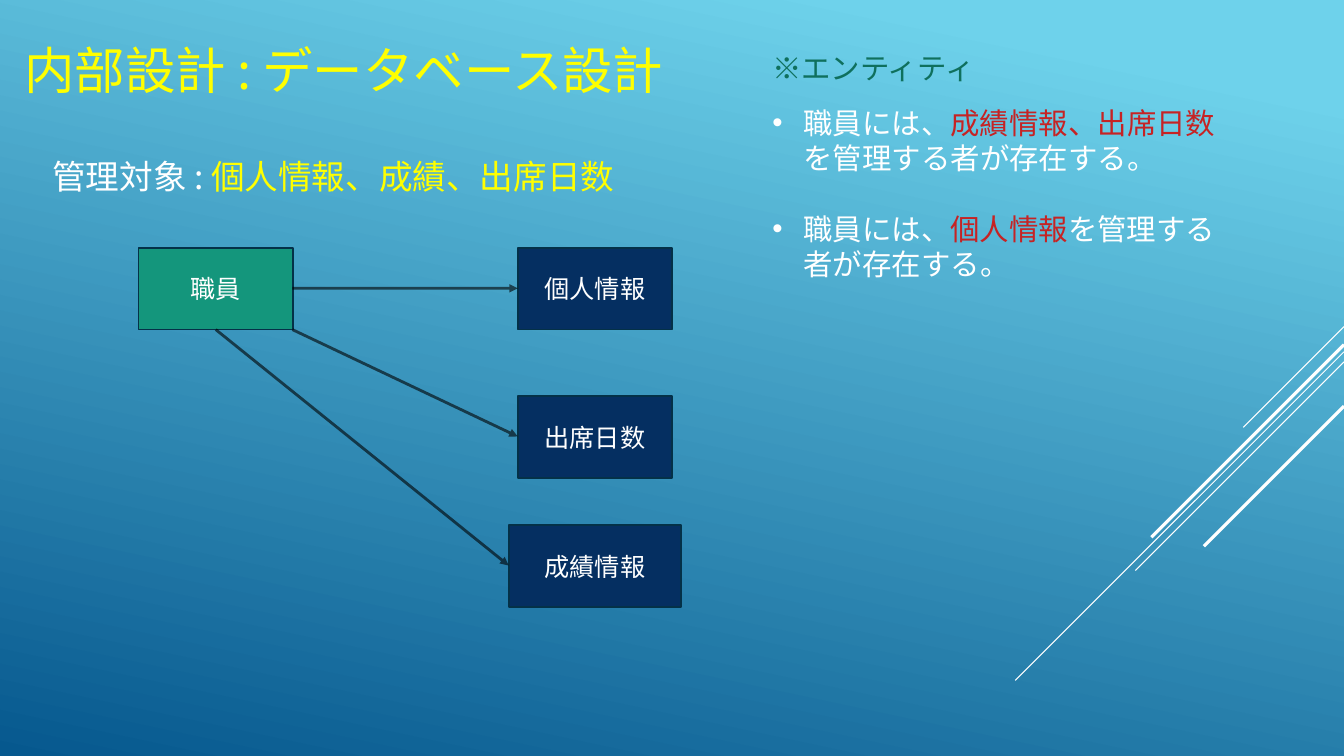
from lxml import etree
from pptx import Presentation
from pptx.dml.color import RGBColor
from pptx.enum.shapes import MSO_CONNECTOR, MSO_SHAPE
from pptx.enum.text import MSO_ANCHOR, MSO_AUTO_SIZE, PP_ALIGN
from pptx.oxml.ns import qn
from pptx.util import Inches, Pt

STRAIGHT = MSO_CONNECTOR.STRAIGHT
RECTANGLE = MSO_SHAPE.RECTANGLE
TOP, MIDDLE = MSO_ANCHOR.TOP, MSO_ANCHOR.MIDDLE
NO_AUTOFIT = MSO_AUTO_SIZE.NONE
LEFT, CENTER = PP_ALIGN.LEFT, PP_ALIGN.CENTER

SKY = RGBColor(0x6E, 0xD2, 0xEB)
OCEAN = RGBColor(0x06, 0x58, 0x8E)
WHITE = RGBColor(0xFF, 0xFF, 0xFF)
BLACK = RGBColor(0x00, 0x00, 0x00)
YELLOW = RGBColor(0xFF, 0xFF, 0x00)
RED = RGBColor(0xC6, 0x23, 0x24)
GREEN = RGBColor(0x14, 0x96, 0x7C)
DARK_GREEN = RGBColor(0x0F, 0x70, 0x5D)
NAVY = RGBColor(0x05, 0x2F, 0x61)
OUTLINE = RGBColor(0x04, 0x31, 0x48)

TEXT_FONT = "Noto Sans CJK JP"
BOX_FONT = "League Spartan"


def paint_background(page):
    fill = page.background.fill
    fill.gradient()
    fill.gradient_angle = 258
    for stop, color, position in zip(fill.gradient_stops, (SKY, OCEAN), (0.1, 1)):
        stop.color.rgb = color
        stop.position = position


def format_span(span, size, color, font=TEXT_FONT):
    span.font.size = Pt(size)
    span.font.name = font
    span.font.color.rgb = color
    east_asian = etree.SubElement(span.font._element, qn("a:ea"))
    east_asian.set("typeface", TEXT_FONT)


def write_spans(para, parts, size, tight=True):
    para.alignment = LEFT
    if tight:
        para.line_spacing = Pt(size * 1.2)
    for text, color in parts:
        span = para.add_run()
        span.text = text
        format_span(span, size, color)


def place(shape, left, top, width, height, anchor):
    shape.left, shape.top = Inches(left), Inches(top)
    shape.width, shape.height = Inches(width), Inches(height)
    frame = shape.text_frame
    frame.word_wrap = True
    frame.auto_size = NO_AUTOFIT
    frame.vertical_anchor = anchor
    return frame


def add_label(page, left, top, width, height, parts, size):
    label = page.shapes.add_textbox(0, 0, 0, 0)
    frame = place(label, left, top, width, height, TOP)
    write_spans(frame.paragraphs[0], parts, size)


def add_line(page, start, end, color, width):
    line = page.shapes.add_connector(STRAIGHT, *map(Inches, start + end))
    line.line.color.rgb = color
    line.line.width = Pt(width)
    etree.SubElement(line._element.spPr, qn("a:effectLst"))
    return line


def add_arrow(page, start, end):
    outline = add_line(page, start, end, BLACK, 2).line._get_or_add_ln()
    color = outline.find(qn("a:solidFill"))[0]
    etree.SubElement(color, qn("a:alpha")).set("val", "60000")
    etree.SubElement(outline, qn("a:tailEnd")).set("type", "triangle")


def add_box(page, text, center_x, top, width, color):
    box = page.shapes.add_shape(RECTANGLE, 0, 0, 0, 0)
    box.shadow.inherit = False
    box.fill.solid()
    box.fill.fore_color.rgb = color
    box.line.color.rgb = OUTLINE
    box.line.width = Pt(1.25)
    frame = place(box, center_x - width / 2, top, width, 0.81, MIDDLE)
    frame.text = text
    para = frame.paragraphs[0]
    para.alignment = CENTER
    format_span(para.runs[0], 18, WHITE, BOX_FONT)


def fill_list(body, items):
    frame = place(body, 7.56, 0.99, 4.65, 2.83, TOP)
    for index, parts in enumerate(items):
        para = frame.add_paragraph() if index else frame.paragraphs[0]
        write_spans(para, parts, 21)
        para.space_before = Pt(25.2 if index else 0)
        properties = para._p.get_or_add_pPr()
        properties.set("marL", str(Inches(0.31)))
        properties.set("indent", str(Inches(-0.31)))
        etree.SubElement(properties, qn("a:buFont")).set("typeface", "Arial")
        etree.SubElement(properties, qn("a:buChar")).set("char", "•")


def main():
    deck = Presentation()
    deck.slide_width, deck.slide_height = Inches(13.33), Inches(7.5)
    page = deck.slides.add_slide(deck.slide_layouts[1])
    paint_background(page)

    for top, length, width in (
        (3.24, 1, 0.75), (3.49, 3.26, 0.75), (3.59, 2.07, 0.75),
        (3.42, 1.91, 2.25), (4.03, 1.39, 2.25),
    ):
        add_line(page, (13.33, top), (13.33 - length, top + length), WHITE, width)

    title = place(page.shapes.title, 0.14, 0.18, 7.5, 1.02, MIDDLE)
    write_spans(title.paragraphs[0], [("内部設計 : データベース設計", YELLOW)], 36, False)
    add_label(page, 0.42, 1.5, 6.25, 0.5,
              [("管理対象 : ", WHITE), ("個人情報、成績、出席日数", YELLOW)], 24)

    add_box(page, "職員", 2.14, 2.46, 1.53, GREEN)
    for text, top, width, start in (
        ("個人情報", 2.46, 1.53, (2.9, 2.86)),
        ("出席日数", 3.93, 1.53, (2.9, 3.27)),
        ("成績情報", 5.21, 1.71, (2.14, 3.27)),
    ):
        add_box(page, text, 5.9, top, width, NAVY)
        add_arrow(page, start, (5.9 - width / 2, top + 0.4))

    add_label(page, 7.56, 0.45, 2.35, 0.45, [("※エンティティ", DARK_GREEN)], 21)
    fill_list(page.placeholders[1], [
        [("職員には、", WHITE), (topic, RED), ("を管理する者が存在する。", WHITE)]
        for topic in ("成績情報、出席日数", "個人情報")
    ])
    deck.save("out.pptx")


if __name__ == "__main__":
    main()
